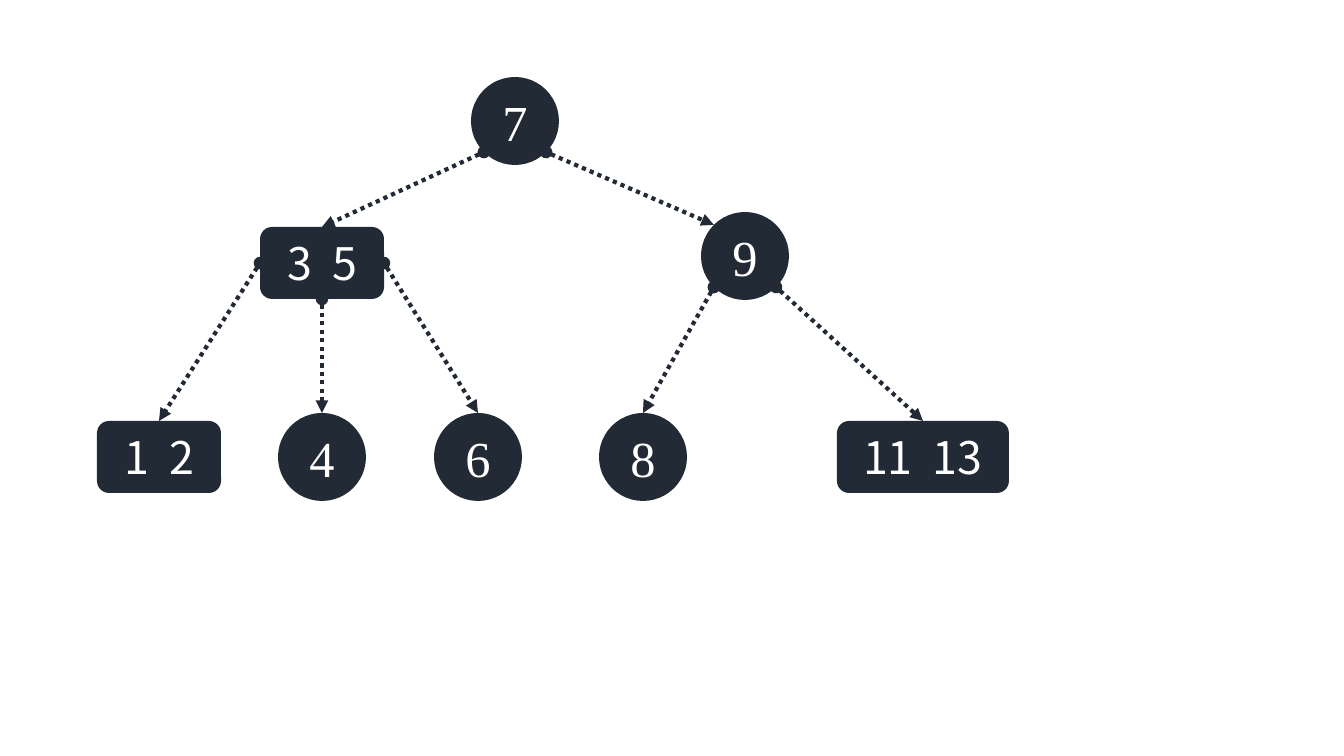
from dataclasses import dataclass
from math import sqrt

from lxml.etree import SubElement
from pptx import Presentation
from pptx.dml.color import RGBColor
from pptx.enum.dml import MSO_LINE
from pptx.enum.shapes import MSO_CONNECTOR, MSO_SHAPE
from pptx.enum.text import MSO_ANCHOR, PP_ALIGN
from pptx.oxml.ns import qn
from pptx.util import Emu, Pt


@dataclass(frozen=True)
class Theme:
    dark: RGBColor = RGBColor(0x22, 0x2A, 0x35)
    white: RGBColor = RGBColor(0xFF, 0xFF, 0xFF)
    single_font: str = "Times New Roman"
    single_size: Pt = Pt(36)
    multi_font: str = "Noto Sans CJK SC"
    multi_size: Pt = Pt(32)
    key_gap: int = 720  # extra width of the space between keys, 1/100 pt
    edge_width: Pt = Pt(3)


THEME = Theme()
SLIDE_W, SLIDE_H = 1344, 756
CIRCLE, BOX_H = 88, 72
LEAF_Y = 457
DIAGONAL = 1 / sqrt(2)

# Directions from a node's centre to its outline, in half widths and heights
TOP, BOTTOM, LEFT, RIGHT = (0, -1), (0, 1), (-1, 0), (1, 0)
TOP_LEFT = (-DIAGONAL, -DIAGONAL)
BOTTOM_LEFT = (-DIAGONAL, DIAGONAL)
BOTTOM_RIGHT = (DIAGONAL, DIAGONAL)

# Keys: centre x, centre y, width
NODES = {
    "7": (515, 121, CIRCLE),
    "3 5": (322, 263, 124),
    "9": (745, 256, CIRCLE),
    "1 2": (159, LEAF_Y, 124),
    "4": (322, LEAF_Y, CIRCLE),
    "6": (478, LEAF_Y, CIRCLE),
    "8": (643, LEAF_Y, CIRCLE),
    "11 13": (923, LEAF_Y, 172),
}
EDGES = [
    ("7", BOTTOM_LEFT, "3 5", TOP),
    ("7", BOTTOM_RIGHT, "9", TOP_LEFT),
    ("3 5", LEFT, "1 2", TOP),
    ("3 5", BOTTOM, "4", TOP),
    ("3 5", RIGHT, "6", TOP),
    ("9", BOTTOM_LEFT, "8", TOP),
    ("9", BOTTOM_RIGHT, "11 13", TOP),
]


def px(n):
    return Emu(round(n * 914400 / 100.8))


def is_multi(keys):
    return " " in keys


def node_height(keys):
    return BOX_H if is_multi(keys) else CIRCLE


def add_keys(p, keys):
    """Write the keys with one widened space between neighbours."""
    for i, key in enumerate(keys.split()):
        if i:
            gap = p.add_run()
            gap.text = " "
            gap._r.get_or_add_rPr().set("spc", str(THEME.key_gap))
        p.add_run().text = key
    p.alignment = PP_ALIGN.CENTER
    p.font.name = THEME.multi_font if is_multi(keys) else THEME.single_font
    p.font.size = THEME.multi_size if is_multi(keys) else THEME.single_size
    p.font.color.rgb = THEME.white


def add_node(slide, keys, x, y, cx, cy, w):
    """Centre a node on (cx, cy) within the tree placed at (x, y)."""
    h = node_height(keys)
    kind = MSO_SHAPE.ROUNDED_RECTANGLE if is_multi(keys) else MSO_SHAPE.OVAL
    sp = slide.shapes.add_shape(
        kind, px(x + cx - w / 2), px(y + cy - h / 2), px(w), px(h))
    sp.shadow.inherit = False
    sp.fill.solid()
    sp.fill.fore_color.rgb = THEME.dark
    sp.line.fill.background()
    tf = sp.text_frame
    tf.margin_left = tf.margin_right = tf.margin_top = tf.margin_bottom = 0
    tf.vertical_anchor = MSO_ANCHOR.MIDDLE
    add_keys(tf.paragraphs[0], keys)


def outline_point(keys, direction, x, y):
    cx, cy, w = NODES[keys]
    dx, dy = direction
    return px(x + cx + dx * w / 2), px(y + cy + dy * node_height(keys) / 2)


def add_edge(slide, start, end):
    cxn = slide.shapes.add_connector(MSO_CONNECTOR.STRAIGHT, *start, *end)
    cxn.line.color.rgb = THEME.dark
    cxn.line.width = THEME.edge_width
    cxn.line.dash_style = MSO_LINE.ROUND_DOT
    ln = cxn.line._get_or_add_ln()
    SubElement(ln, qn("a:headEnd"), type="oval")
    SubElement(ln, qn("a:tailEnd"), type="triangle")
    SubElement(cxn._element.spPr, qn("a:effectLst"))


def add_tree(slide, x, y):
    for keys, (cx, cy, w) in NODES.items():
        add_node(slide, keys, x, y, cx, cy, w)
    for parent, leave, child, arrive in EDGES:
        add_edge(slide, outline_point(parent, leave, x, y),
                 outline_point(child, arrive, x, y))


def main():
    prs = Presentation()
    prs.slide_width, prs.slide_height = px(SLIDE_W), px(SLIDE_H)
    slide = prs.slides.add_slide(prs.slide_layouts[6])
    add_tree(slide, 0, 0)
    prs.save("out.pptx")


if __name__ == "__main__":
    main()
